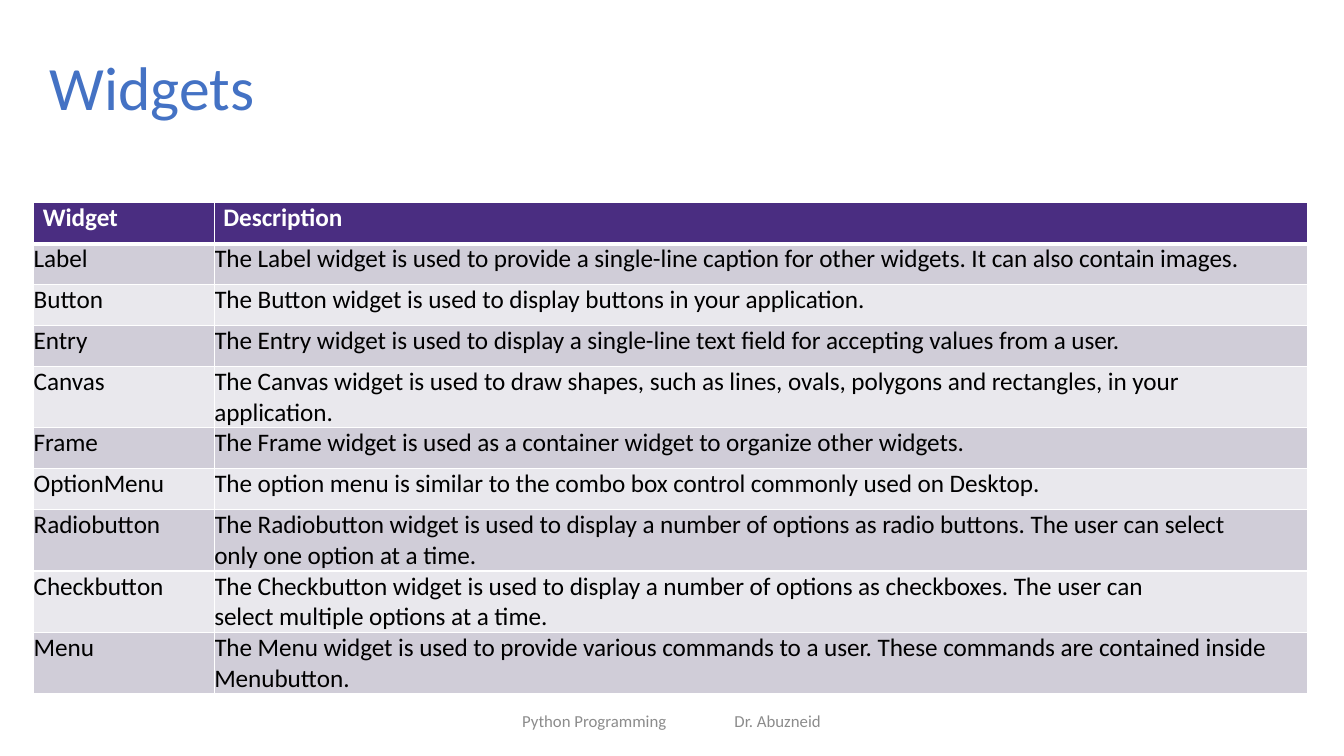
from lxml.etree import SubElement
from pptx import Presentation
from pptx.dml.color import RGBColor
from pptx.enum.text import MSO_ANCHOR
from pptx.oxml.ns import qn
from pptx.util import Cm, Pt

WHITE = RGBColor(0xFF, 0xFF, 0xFF)
BLACK = RGBColor(0, 0, 0)
BLUE = RGBColor(0x44, 0x72, 0xC4)
GREY = RGBColor(0x8C, 0x8C, 0x8C)
PURPLE = RGBColor(0x4A, 0x2D, 0x81)
DARK = RGBColor(0xD0, 0xCD, 0xD8)
LIGHT = RGBColor(0xE9, 0xE8, 0xED)

COLS = (4.55, 27.56)
ONE, TWO = 1.03, 1.55  # heights of rows with one and two lines

# Widget, description, row height, space kept free at the right
ROWS = [
    ("Widget", "Description", ONE, 0),
    ("Label", "The Label widget is used to provide a single-line caption for "
     "other widgets. It can also contain images.", ONE, 0),
    ("Button", "The Button widget is used to display buttons in your "
     "application.", ONE, 0),
    ("Entry", "The Entry widget is used to display a single-line text field "
     "for accepting values from a user.", ONE, 0),
    ("Canvas", "The Canvas widget is used to draw shapes, such as lines, "
     "ovals, polygons and rectangles, in your application.", TWO, 3),
    ("Frame", "The Frame widget is used as a container widget to organize "
     "other widgets.", ONE, 0),
    ("OptionMenu", "The option menu is similar to the combo box control "
     "commonly used on Desktop.", ONE, 0),
    ("Radiobutton", "The Radiobutton widget is used to display a number of "
     "options as radio buttons. The user can select only one option at a "
     "time.", TWO, 1),
    ("Checkbutton", "The Checkbutton widget is used to display a number of "
     "options as checkboxes. The user can select multiple options at a "
     "time.", TWO, 3),
    ("Menu", "The Menu widget is used to provide various commands to a user. "
     "These commands are contained inside\nMenubutton.", TWO, 0),
]


def write(frame, text, size=18, color=BLACK, bold=False, space=0, line=None):
    """Fill a text frame, one paragraph for each line of text."""
    frame.text = text
    for para in frame.paragraphs:
        para.line_spacing = line
        for run in para.runs:
            font = run.font
            font.name, font.size, font.bold = "Calibri", Pt(size), bold
            font.color.rgb = color
            if space:
                run._r.get_or_add_rPr().set("spc", str(space))


def add_box(slide, box):
    """Add a wrapping, vertically centred text box and return its frame."""
    frame = slide.shapes.add_textbox(*map(Cm, box)).text_frame
    frame.word_wrap = True
    frame.vertical_anchor = MSO_ANCHOR.MIDDLE
    return frame


def add_title(slide, box):
    """Write the slide title."""
    write(add_box(slide, box), "Widgets", size=44, color=BLUE, line=0.9)


def add_footer(slide, box):
    """Write course and teacher, set apart by a tab stop."""
    frame = add_box(slide, box)
    frame.margin_left = Cm(1.93)
    write(frame, "Python Programming\tDr. Abuzneid", size=12, color=GREY)
    props = frame.paragraphs[0]._p.get_or_add_pPr()
    tabs = SubElement(props, qn("a:tabLst"))
    SubElement(tabs, qn("a:tab"), pos=str(Cm(5.35)), algn="l")


def add_edges(cell, **widths):
    """Draw white cell borders; widths are points by side L, R, T, B."""
    props = cell._tc.get_or_add_tcPr()
    for side, width in widths.items():
        edge = SubElement(props, qn("a:ln" + side), w=str(Pt(width)))
        fill = SubElement(edge, qn("a:solidFill"))
        SubElement(fill, qn("a:srgbClr"), val=str(WHITE))


def add_grid(slide, box):
    """Build the table of widgets with a header and banded rows."""
    shape = slide.shapes.add_table(len(ROWS), len(COLS), *map(Cm, box))
    table = shape.table
    for col, width in zip(table.columns, COLS):
        col.width = Cm(width)
    for i, (name, about, height, free) in enumerate(ROWS):
        head = i == 0
        table.rows[i].height = Cm(height)
        for j, text in enumerate((name, about)):
            cell = table.cell(i, j)
            cell.margin_left = Cm(0.23 if head else 0)
            cell.margin_right = Cm(free if j else 0)
            cell.margin_top = cell.margin_bottom = Cm(0)
            add_edges(cell, L=1, R=1, T=3 if i == 1 else 1, B=3 if head else 1)
            cell.fill.solid()
            cell.fill.fore_color.rgb = PURPLE if head else DARK if i % 2 else LIGHT
            write(cell.text_frame, text, color=WHITE if head else BLACK,
                  bold=head, space=-7)


def main():
    """Build and save the slide."""
    deck = Presentation()
    deck.slide_width, deck.slide_height = Cm(33.87), Cm(19.05)
    slide = deck.slides.add_slide(deck.slide_layouts[6])
    add_footer(slide, (11.23, 17.65, 11.43, 1.02))
    add_title(slide, (1, 0.43, 29.21, 3.68))
    add_grid(slide, (0.85, 5.11, sum(COLS), sum(row[2] for row in ROWS)))
    deck.save("out.pptx")


main()
